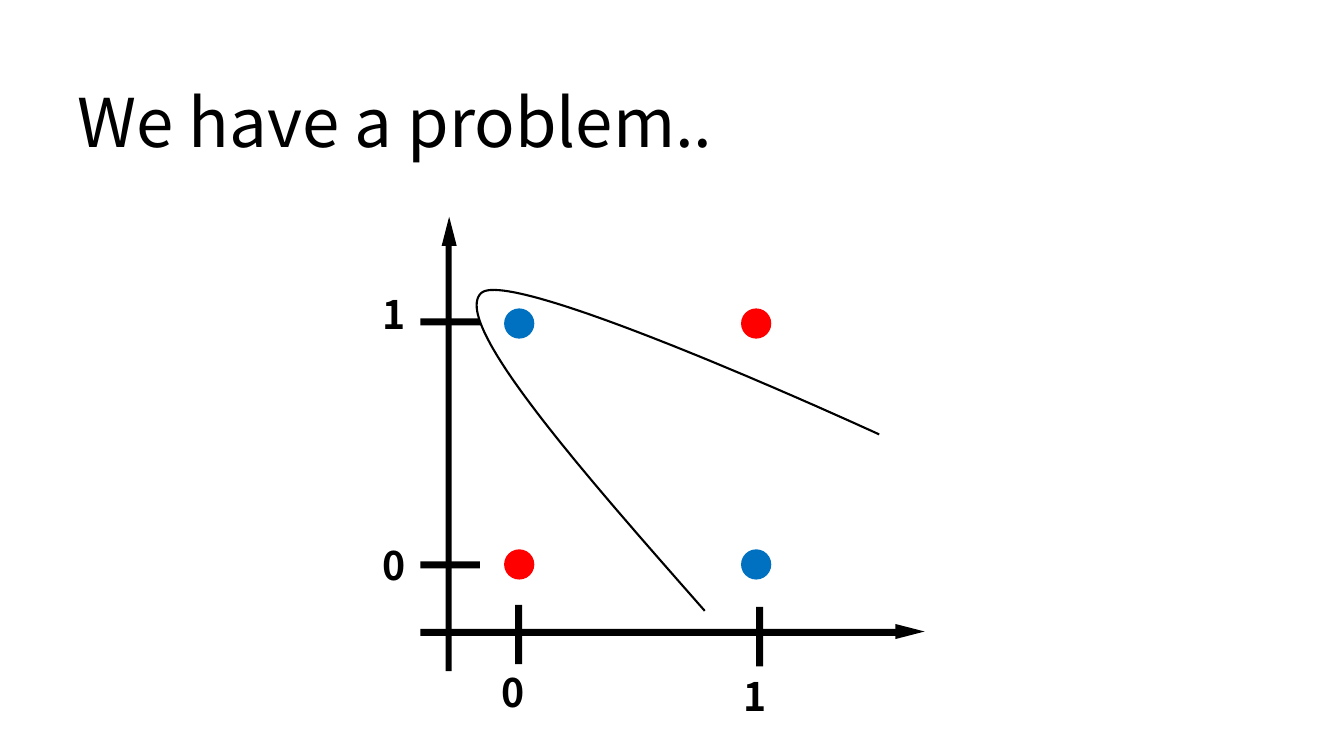
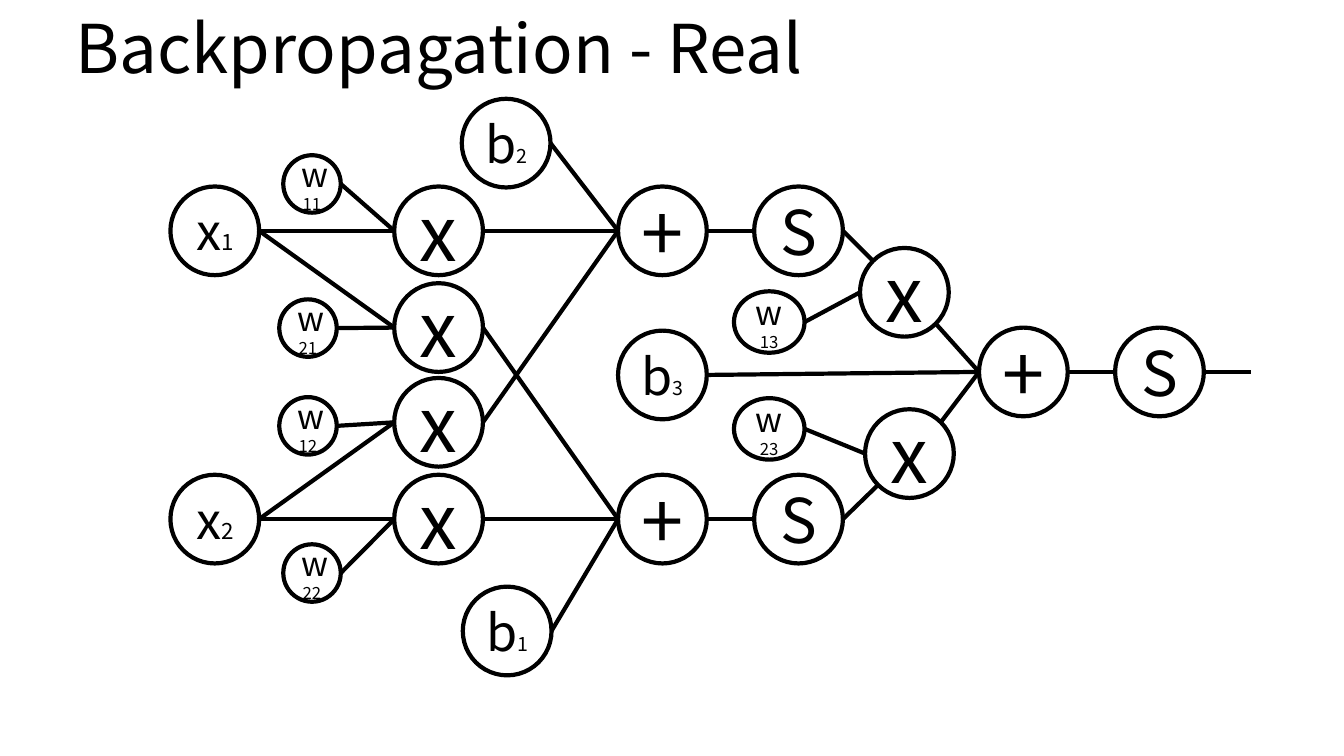
import math
from lxml import etree
from pptx import Presentation
from pptx.dml.color import RGBColor
from pptx.enum.shapes import MSO_CONNECTOR, MSO_SHAPE
from pptx.enum.text import MSO_ANCHOR, MSO_AUTO_SIZE, PP_ALIGN
from pptx.oxml.ns import qn
from pptx.util import Emu, Pt

PX = 9144  # 100 px to the inch
WIDTH, HEIGHT = 1333, 750
FONT = "Noto Sans CJK KR"
COLORS = {"ink": "000000", "red": "FF0000", "blue": "0070C0"}
TITLE_ONLY = 5
RECTANGLE, TRIANGLE, OVAL = MSO_SHAPE.RECTANGLE, MSO_SHAPE.ISOSCELES_TRIANGLE, MSO_SHAPE.OVAL
STRAIGHT = MSO_CONNECTOR.STRAIGHT
TOP, MIDDLE = MSO_ANCHOR.TOP, MSO_ANCHOR.MIDDLE
LEFT, CENTER = PP_ALIGN.LEFT, PP_ALIGN.CENTER
NO_AUTOFIT = MSO_AUTO_SIZE.NONE

# Plot of the four points: left, top, width, height
PLOT_TITLE = ("We have a problem..", (67, 84, 1139, 91))
AXES = [(442, 230, 6, 436), (417, 624, 472, 7)]
TICKS = [(417, 557, 59, 7), (417, 316, 59, 7), (511, 600, 7, 59), (750, 602, 7, 59)]
ARROWHEADS = [((438, 215, 15, 29), 0), ((895, 612, 15, 29), 90)]
TICK_LABELS = [("1", 728, 667), ("1", 370, 288), ("0", 370, 537), ("0", 488, 663)]
LABEL_SIZE = (59, 57)
DOT_COLUMNS, DOT_ROWS, DOT_SIZE = (500, 735), (306, 545), 30
DOT_COLORS = [("blue", "red"), ("red", "blue")]
BOUNDARY = [
    [(699, 606), (573, 463), (448, 320), (477, 291)],
    [(477, 291), (505, 262), (872, 431), (872, 431)],
]
CURVE_STEPS = 60

# Network: kind -> width, height, symbol size, index size
NETWORK_TITLE = ("Backpropagation - Real", (65, 10, 883, 91))
KINDS = {
    "input": (88, 88, 36, 16),
    "bias": (88, 88, 36, 14),
    "operator": (88, 88, 54, None),
    "sigmoid": (88, 88, 44, None),
    "weight": (57, 57, 24, 12),
    "wide weight": (70, 61, 24, 12),
}
# name: kind, left, top, symbol, index
NODES = {
    "x1": ("input", 169, 185, "x", "1"),
    "x2": ("input", 169, 471, "x", "2"),
    "w11": ("weight", 281, 154, "w", "11"),
    "w21": ("weight", 277, 297, "w", "21"),
    "w12": ("weight", 277, 394, "w", "12"),
    "w22": ("weight", 281, 540, "w", "22"),
    "times11": ("operator", 391, 185, "x", ""),
    "times21": ("operator", 391, 281, "x", ""),
    "times12": ("operator", 391, 375, "x", ""),
    "times22": ("operator", 391, 471, "x", ""),
    "b2": ("bias", 458, 98, "b", "2"),
    "b1": ("bias", 459, 582, "b", "1"),
    "b3": ("bias", 613, 328, "b", "3"),
    "plus1": ("operator", 613, 185, "+", ""),
    "plus2": ("operator", 613, 471, "+", ""),
    "sigmoid1": ("sigmoid", 748, 185, "S", ""),
    "sigmoid2": ("sigmoid", 748, 471, "S", ""),
    "w13": ("wide weight", 728, 289, "w", "13"),
    "w23": ("wide weight", 728, 395, "w", "23"),
    "times13": ("operator", 853, 246, "x", ""),
    "times23": ("operator", 858, 406, "x", ""),
    "plus3": ("operator", 971, 325, "+", ""),
    "sigmoid3": ("sigmoid", 1106, 325, "S", ""),
}
# Sources of each node; edges run from right side to left side
EDGES = {
    "times11": ["x1", "w11"],
    "times21": ["x1", "w21"],
    "times12": ["x2", "w12"],
    "times22": ["x2", "w22"],
    "plus1": ["times11", "times12", "b2"],
    "plus2": ["times21", "times22", "b1"],
    "sigmoid1": ["plus1"],
    "sigmoid2": ["plus2"],
    "times13": ["sigmoid1", "w13"],
    "times23": ["sigmoid2", "w23"],
    "plus3": ["times13", "times23", "b3"],
    "sigmoid3": ["plus3"],
}
# Edges that leave or enter elsewhere: angles in degrees, clockwise from the right
EDGE_ANGLES = {
    ("sigmoid1", "times13"): (0, 225),
    ("sigmoid2", "times23"): (0, 135),
    ("times13", "plus3"): (45, 180),
    ("times23", "plus3"): (-45, 180),
}
OUTPUT_LENGTH = 47


def px(*lengths):
    return [Emu(round(length * PX)) for length in lengths]


def color(name):
    return RGBColor.from_string(COLORS[name])


def style_font(font, size, bold=False):
    font.name, font.size, font.bold = FONT, Pt(size), bold
    font.color.rgb = color("ink")


def add_titled_slide(presentation, title):
    text, box = title
    slide = presentation.slides.add_slide(presentation.slide_layouts[TITLE_ONLY])
    shape = slide.shapes.title
    shape.left, shape.top, shape.width, shape.height = px(*box)
    frame = shape.text_frame
    frame.text = text
    frame.auto_size, frame.vertical_anchor = NO_AUTOFIT, TOP
    paragraph = frame.paragraphs[0]
    paragraph.alignment = LEFT
    paragraph.line_spacing = 0.9
    style_font(paragraph.font, 48)
    return slide


def add_solid(slide, preset, box, fill, rotation=0):
    shape = slide.shapes.add_shape(preset, *px(*box))
    shape.shadow.inherit = False
    shape.fill.solid()
    shape.fill.fore_color.rgb = color(fill)
    shape.line.fill.background()
    shape.rotation = rotation


def outline(shape, width):
    shape.shadow.inherit = False
    shape.fill.background()
    shape.line.color.rgb = color("ink")
    shape.line.width = Pt(width)


def add_tick_label(slide, text, left, top):
    frame = slide.shapes.add_textbox(*px(left, top, *LABEL_SIZE)).text_frame
    frame.word_wrap = True
    frame.text = text
    paragraph = frame.paragraphs[0]
    paragraph.line_spacing = 0.9
    style_font(paragraph.font, 28, bold=True)


def bezier_point(controls, t):
    weights = [math.comb(3, i) * (1 - t) ** (3 - i) * t ** i for i in range(4)]
    return px(*(sum(w * p[axis] for w, p in zip(weights, controls)) for axis in (0, 1)))


def add_boundary(slide):
    points = [bezier_point(curve, step / CURVE_STEPS)
              for curve in BOUNDARY for step in range(CURVE_STEPS + 1)]
    builder = slide.shapes.build_freeform(*points[0])
    builder.add_line_segments(points[1:], close=False)
    outline(builder.convert_to_shape(), 1.5)


def add_node(slide, kind, left, top, symbol, index):
    width, height, symbol_size, index_size = KINDS[kind]
    shape = slide.shapes.add_shape(OVAL, *px(left, top, width, height))
    outline(shape, 3)
    frame = shape.text_frame
    frame.word_wrap, frame.vertical_anchor = True, MIDDLE
    paragraph = frame.paragraphs[0]
    paragraph.alignment = CENTER
    for text, size in ((symbol, symbol_size), (index, index_size)):
        if text:
            run = paragraph.add_run()
            run.text = text
            style_font(run.font, size)


def rim_point(name, angle):
    kind, left, top = NODES[name][:3]
    width, height = KINDS[kind][:2]
    radians = math.radians(angle)
    return (left + width / 2 * (1 + math.cos(radians)),
            top + height / 2 * (1 + math.sin(radians)))


def add_line(slide, start, end):
    line = slide.shapes.add_connector(STRAIGHT, *px(*start, *end))
    line.line.color.rgb = color("ink")
    line.line.width = Pt(3)
    etree.SubElement(line._element.spPr, qn("a:effectLst"))


def build_plot(presentation):
    slide = add_titled_slide(presentation, PLOT_TITLE)
    for bar in AXES + TICKS:
        add_solid(slide, RECTANGLE, bar, "ink")
    for box, rotation in ARROWHEADS:
        add_solid(slide, TRIANGLE, box, "ink", rotation)
    for label in TICK_LABELS:
        add_tick_label(slide, *label)
    for top, row in zip(DOT_ROWS, DOT_COLORS):
        for left, fill in zip(DOT_COLUMNS, row):
            add_solid(slide, OVAL, (left, top, DOT_SIZE, DOT_SIZE), fill)
    add_boundary(slide)


def build_network(presentation):
    slide = add_titled_slide(presentation, NETWORK_TITLE)
    for node in NODES.values():
        add_node(slide, *node)
    for target, sources in EDGES.items():
        for source in sources:
            leave, enter = EDGE_ANGLES.get((source, target), (0, 180))
            add_line(slide, rim_point(source, leave), rim_point(target, enter))
    # Output of the network
    x, y = rim_point("sigmoid3", 0)
    add_line(slide, (x, y), (x + OUTPUT_LENGTH, y))


def main():
    presentation = Presentation()
    presentation.slide_width, presentation.slide_height = px(WIDTH, HEIGHT)
    build_plot(presentation)
    build_network(presentation)
    presentation.save("out.pptx")


if __name__ == "__main__":
    main()
